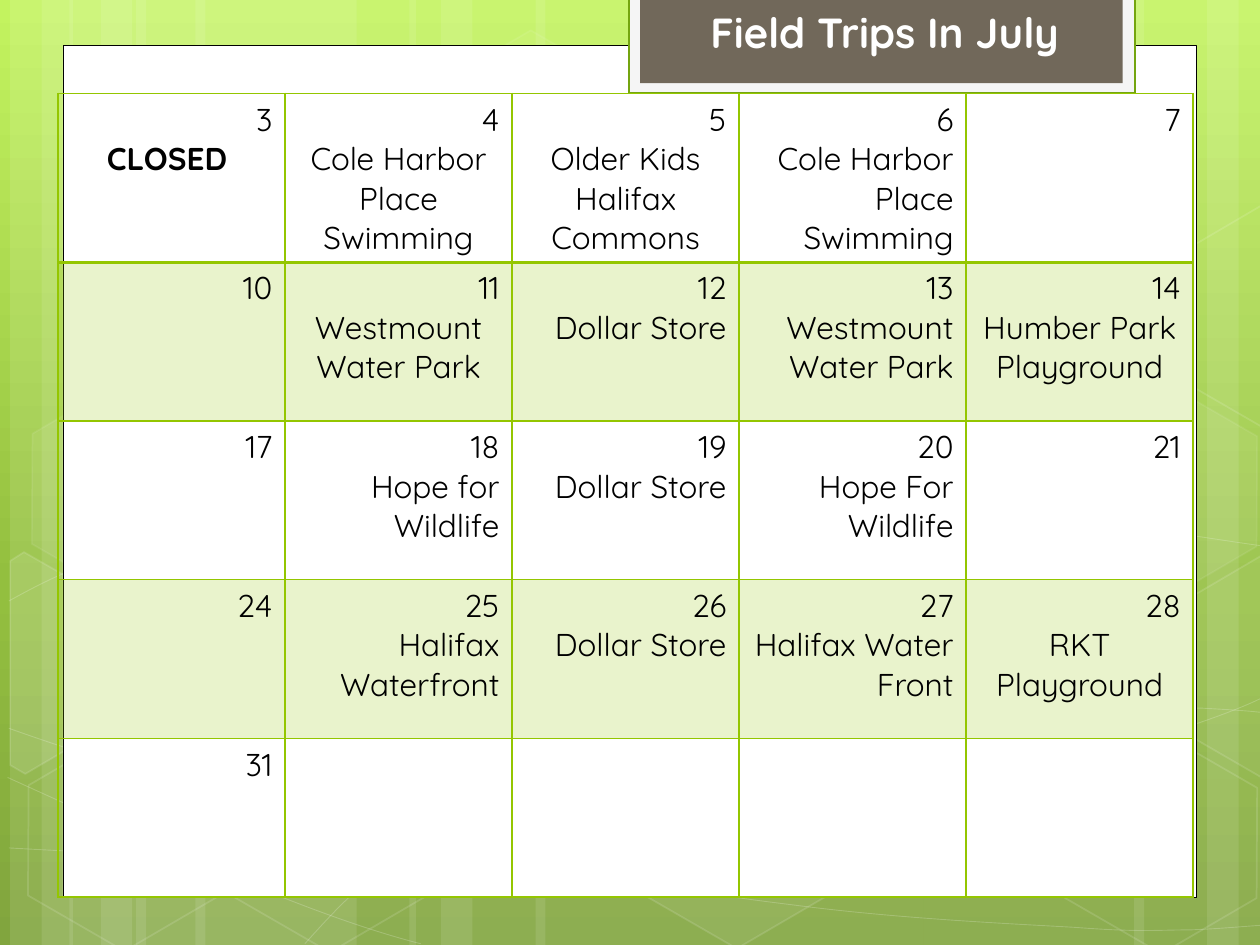
from copy import deepcopy
from math import cos, radians, sin

from lxml import etree
from pptx import Presentation
from pptx.dml.color import RGBColor
from pptx.enum.shapes import MSO_SHAPE
from pptx.enum.text import PP_ALIGN
from pptx.oxml.ns import qn
from pptx.util import Inches, Pt

RECTANGLE, HEXAGON = MSO_SHAPE.RECTANGLE, MSO_SHAPE.HEXAGON
CENTER, RIGHT = PP_ALIGN.CENTER, PP_ALIGN.RIGHT
FONT, WHITE, BLACK, GREEN = "Quicksand", "FFFFFF", "000000", "94C600"
TILT = 30

BACKGROUND = [(0, "C3F35F"), (0.62, "93BF3F"), (1, "81A53E")]
STRIPES = [(1.08, 1.75, 0), (0.08, 0.5, 0), (0.33, 0.83, 0), (1.55, 1.75, 0), (0.55, 0.5, 0),
           (0.8, 0.83, 0), (7.33, 1.75, 180), (9.58, 0.5, 180), (9, 0.83, 180),
           (4.25, 3.08, 0), (3.25, 0.5, 0), (3.5, 0.83, 0)]
CURVES = [
    [(0.07, 6.73), (0.61, 6.76), (1.15, 6.79), (1.9, 6.78), (2.65, 6.77), (3.58, 6.75),
     (4.58, 6.65), (5.58, 6.55), (7, 6.36), (7.92, 6.17), (8.83, 5.98), (9.77, 5.68), (10.07, 5.51)],
    [(0.07, 4.77), (0.36, 4.61), (0.65, 4.46), (1.21, 4.31), (1.78, 4.16), (2.59, 3.94),
     (3.47, 3.87), (4.36, 3.8), (5.44, 3.79), (6.54, 3.87), (7.64, 3.95), (9.47, 4.26), (10.07, 4.34)],
    [(0.06, 6.17), (1.27, 6.72), (2.47, 7.27), (3.34, 7.49)],
    [(0.07, 5.78), (0.38, 5.89), (0.7, 6), (1.28, 6.16), (1.86, 6.31), (2.73, 6.56),
     (3.57, 6.73), (4.4, 6.9), (5.45, 7.08), (6.28, 7.18), (7.11, 7.29), (8, 7.33),
     (8.53, 7.36), (9.05, 7.4), (9.19, 7.38), (9.45, 7.38), (9.71, 7.37), (9.89, 7.35), (10.07, 7.34)],
    [(2.42, 7.49), (2.6, 7.29), (2.78, 7.09), (3.02, 6.91), (3.26, 6.73), (3.6, 6.53),
     (3.88, 6.39), (4.16, 6.25), (4.33, 6.19), (4.7, 6.09), (5.06, 5.99), (5.73, 5.85),
     (6.08, 5.78), (6.44, 5.71), (6.49, 5.71), (6.8, 5.69), (7.11, 5.66), (7.6, 5.63),
     (7.94, 5.62), (8.29, 5.61), (8.86, 5.62), (8.86, 5.62), (9.08, 5.62), (9.31, 5.62),
     (9.53, 5.62), (9.71, 5.63), (9.88, 5.64), (9.97, 5.65), (10.06, 5.66), (10.03, 5.65), (10.06, 5.66)],
]
HEXAGONS = [(3.34, 0.36, 4, 8), (4.97, 5.89, 6, 12), (0.11, 5.91, 0, 12), (0.14, 3.12, 7, 8),
            (1.74, 5.92, 0, 12), (7.53, 4.53, 10, 12), (8.34, 5.93, 0, 12), (8.34, 3.14, 7, 8)]
CUT_HEXAGONS = [
    ((0.36, 5.35), [(0.08, 4.45), (0.19, 4.38), (0.96, 4.82), (0.95, 5.7), (0.2, 6.14), (0.08, 6.07)], 10),
    ((9.85, 5.2), [(9.26, 4.85), (10.01, 4.41), (10.09, 4.46), (10.09, 6.13), (10.02, 6.17), (9.26, 5.73)], 4),
    ((9.85, 2.41), [(9.26, 2.07), (10.01, 1.63), (10.1, 1.68), (10.09, 3.35), (10.02, 3.39), (9.26, 2.95)], 0),
]
PANELS = [((0.5, 0.36, 9, 6.76), WHITE, (BLACK, 0.5)),
          ((4.99, -0.02, 4.02, 0.76), "F5F5F5", ("74A510", 1.25)),
          ((5.08, -0.02, 3.83, 0.68), "71685A", None)]
TITLE = "Field Trips In July"
TRIPS = {
    3: ("CLOSED ", CENTER), 4: ("Cole Harbor Place Swimming", CENTER),
    5: ("Older Kids Halifax Commons", CENTER), 6: ("Cole Harbor Place Swimming", RIGHT),
    11: ("Westmount Water Park", CENTER), 12: ("Dollar Store", RIGHT),
    13: ("Westmount Water Park", RIGHT), 14: ("Humber Park Playground", CENTER),
    18: ("Hope for Wildlife", RIGHT), 19: ("Dollar Store", RIGHT), 20: ("Hope For Wildlife", RIGHT),
    25: ("Halifax Waterfront", RIGHT), 26: ("Dollar Store", RIGHT),
    27: ("Halifax Water Front", RIGHT), 28: ("RKT Playground", CENTER),
}
FIRST_DAY, LAST_DAY, WEEKS, WEEKDAYS = 3, 31, 5, 5


def rgb(color):
    return RGBColor.from_string(color)


def paint(fill, owner, color, alpha=100):
    if not alpha:
        fill.background()
        return
    fill.solid()
    fill.fore_color.rgb = rgb(color)
    if alpha < 100:
        color_element = owner.find(qn("a:solidFill"))[0]
        etree.SubElement(color_element, qn("a:alpha")).set("val", str(alpha * 1000))


def style(shape, fill, fill_alpha=100, line=None, line_alpha=100):
    shape.shadow.inherit = False
    properties = shape.element.spPr
    paint(shape.fill, properties, fill, fill_alpha)
    if line is None:
        shape.line.fill.background()
        return
    color, width = line
    shape.line.width = Pt(width)
    paint(shape.line.fill, properties.find(qn("a:ln")), color, line_alpha)


def add_box(kind, left, top, width, height):
    return slide.shapes.add_shape(kind, Inches(left), Inches(top), Inches(width), Inches(height))


def add_outline(points, close):
    vertices = [(Inches(x), Inches(y)) for x, y in points]
    builder = slide.shapes.build_freeform(*vertices[0])
    builder.add_line_segments(vertices[1:], close=close)
    return builder.convert_to_shape()


def add_curve(controls):
    shape = add_outline(controls, False)
    segments = list(shape.element.iter(qn("a:lnTo")))
    for start in range(0, len(segments), 3):
        curve = etree.Element(qn("a:cubicBezTo"))
        segments[start].addprevious(curve)
        for segment in segments[start:start + 3]:
            curve.append(segment[0])
            segment.getparent().remove(segment)
    return shape


def turn_back(point, center):
    x, y = point[0] - center[0], point[1] - center[1]
    cosine, sine = cos(radians(TILT)), sin(radians(TILT))
    return center[0] + x * cosine + y * sine, center[1] - x * sine + y * cosine


def write(paragraph, text, alignment, size, color, bold=False):
    paragraph.alignment = alignment
    run = paragraph.add_run()
    run.text = text
    for name, value in {"name": FONT, "size": Pt(size), "bold": bold}.items():
        setattr(run.font, name, value)
    run.font.color.rgb = rgb(color)


def add_borders(cell_properties, widths):
    for index, (side, width) in enumerate(widths.items()):
        line = etree.Element(qn(f"a:ln{side}"), w=str(Pt(width)))
        solid = etree.SubElement(line, qn("a:solidFill"))
        etree.SubElement(solid, qn("a:srgbClr")).set("val", GREEN)
        cell_properties.insert(index, line)


def add_background():
    fill = slide.background.fill
    fill.gradient()
    fill.gradient_angle = 270
    stop_list = slide.element.find(".//" + qn("a:gsLst"))
    stop_list.append(deepcopy(stop_list[0]))
    for stop, (position, color) in zip(fill.gradient_stops, BACKGROUND):
        stop.position = position
        stop.color.rgb = rgb(color)


def add_calendar():
    frame = slide.shapes.add_table(WEEKS, WEEKDAYS, Inches(0.46), Inches(0.74), Inches(9.01), Inches(6.38))
    table = frame.table
    table.first_row = table.horz_banding = False
    for week, row in enumerate(table.rows):
        row.height = Inches(1.26 if week else 1.34)
        cell_elements = list(frame.element.iter(qn("a:tr")))[week].findall(qn("a:tc"))
        for weekday, (cell, element) in enumerate(zip(row.cells, cell_elements)):
            cell.fill.background()
            properties = element.find(qn("a:tcPr"))
            paint(cell.fill, properties, GREEN, 20 if week % 2 else 0)
            add_borders(properties, {"L": 1, "R": 1, "T": 2 if week == 1 else 1, "B": 1 if week else 2})
            day = FIRST_DAY + 7 * week + weekday
            if day > LAST_DAY:
                continue
            write(cell.text_frame.paragraphs[0], str(day), RIGHT, 18, BLACK)
            if day in TRIPS:
                trip, alignment = TRIPS[day]
                write(cell.text_frame.add_paragraph(), trip, alignment, 18, BLACK, day == FIRST_DAY)


presentation = Presentation()
presentation.slide_width, presentation.slide_height = Inches(10), Inches(7.5)
slide = presentation.slides.add_slide(presentation.slide_layouts[6])
add_background()

for left, width, rotation in STRIPES:
    stripe = add_box(RECTANGLE, left, 0, width, 7.5)
    stripe.rotation = rotation
    style(stripe, WHITE, 10)
for controls in CURVES:
    style(add_curve(controls), WHITE, 0, (WHITE, 0.5), 20)
for left, top, fill_alpha, line_alpha in HEXAGONS:
    hexagon = add_box(HEXAGON, left, top, 1.75, 1.52)
    hexagon.rotation = TILT
    hexagon.adjustments[0] = 0.285
    style(hexagon, WHITE, fill_alpha, (WHITE, 1), line_alpha)
for center, points, fill_alpha in CUT_HEXAGONS:
    cut_hexagon = add_outline([turn_back(point, center) for point in points], True)
    cut_hexagon.rotation = TILT
    style(cut_hexagon, WHITE, fill_alpha, (WHITE, 1), 12)
for bounds, fill, line in PANELS:
    style(add_box(RECTANGLE, *bounds), fill, line=line)

title = slide.shapes.add_textbox(Inches(5.11), Inches(0), Inches(3.82), Inches(0.5))
title.text_frame.word_wrap = True
write(title.text_frame.paragraphs[0], TITLE, CENTER, 24, WHITE, True)
add_calendar()

presentation.save("out.pptx")
